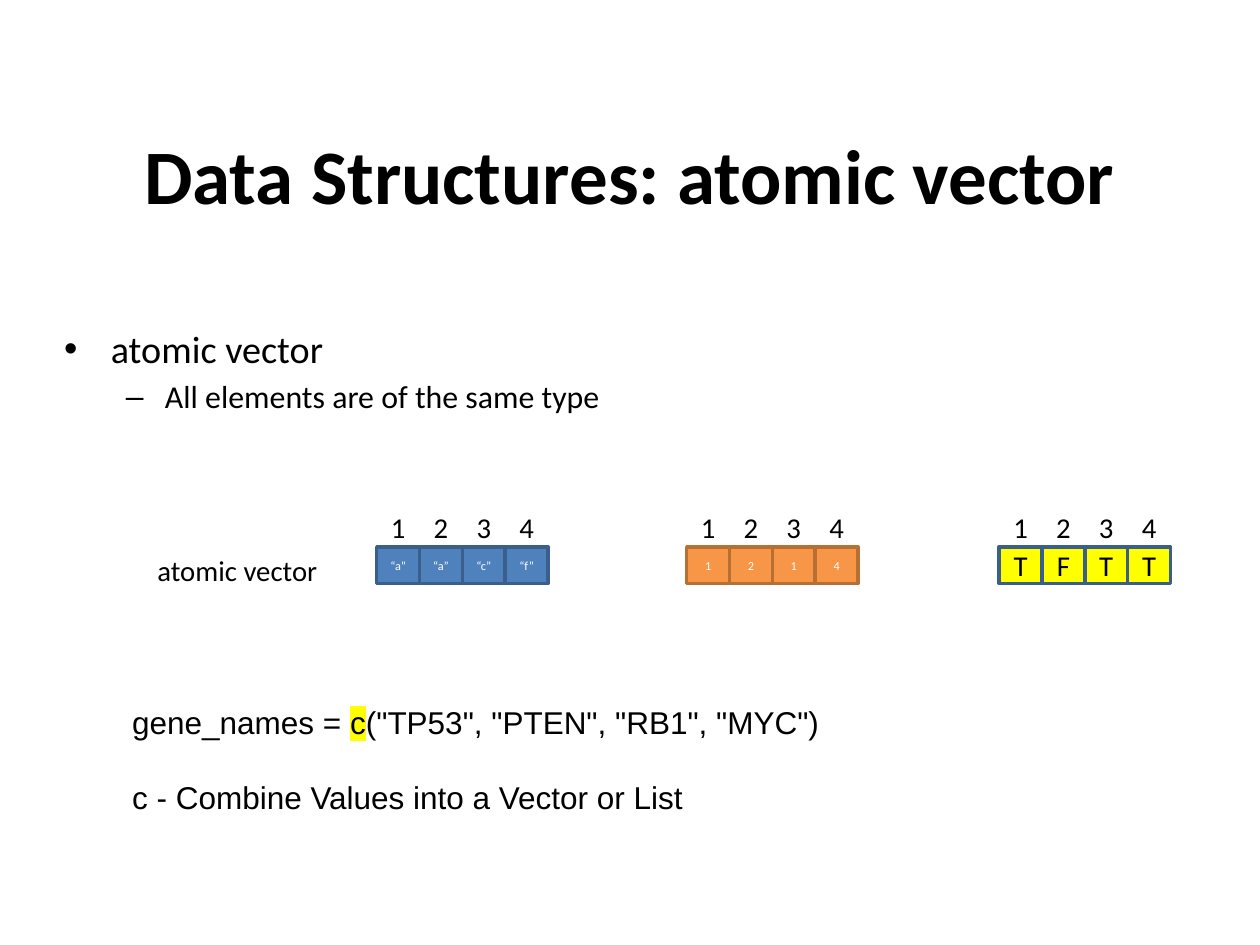
from dataclasses import dataclass

from lxml import etree
from pptx import Presentation
from pptx import util as u
from pptx.dml.color import RGBColor
from pptx.enum import shapes, text
from pptx.oxml import ns

FONT, BLACK, WHITE, YELLOW, NAVY = "Calibri", "000000", "FFFFFF", "FFFF00", "3A5F8C"
SIZE = 16.4
CELL_W, CELL_H, CELL_TOP = 0.34, 0.29, 4.34
LABEL_TOP, LABEL_H = 4, 0.37


@dataclass
class Vector:
    left: float
    values: tuple
    fill: str
    line: str
    size: float = 7
    ink: str = WHITE


@dataclass
class Bullet:
    words: str
    mark: str
    size: float
    left: float
    hang: float
    gap: float


VECTORS = (
    Vector(2.99, ("“a”", "“a”", "“c”", "“f”"), "4F81BD", NAVY),
    Vector(5.45, ("1", "2", "1", "4"), "F79646", "B76F34"),
    Vector(7.93, ("T", "F", "T", "T"), YELLOW, NAVY, SIZE, BLACK),
)
BULLETS = (
    Bullet("atomic vector", "•", 21.8, 0.38, -0.37, 4.3),
    Bullet("All elements are of the same type", "–", 18.2, 0.81, -0.31, 3.6),
)
CODE = ("gene_names = ", "c", '("TP53", "PTEN", "RB1", "MYC")')
NOTE = "c - Combine Values into a Vector or List"


def color(hue: str) -> RGBColor:
    return RGBColor.from_string(hue)


def box(x: float, y: float, w: float, h: float) -> tuple:
    return tuple(u.Inches(n) for n in (x, y, w, h))


def style(run, size: float, hue: str = BLACK, face: str = FONT) -> None:
    run.font.size = u.Pt(size)
    run.font.name = face
    run.font.color.rgb = color(hue)


def flush(frame) -> None:
    frame.margin_left = frame.margin_right = 0
    frame.margin_top = frame.margin_bottom = 0


def center(frame, words: str, size: float, hue: str) -> None:
    frame.text = words
    frame.word_wrap = False
    frame.paragraphs[0].alignment = text.PP_ALIGN.CENTER
    style(frame.paragraphs[0].runs[0], size, hue)


def add_text(slide, place: tuple):
    frame = slide.shapes.add_textbox(*box(*place)).text_frame
    frame.word_wrap = True
    return frame


def add_bullet(para, item: Bullet, level: int) -> None:
    para.text = item.words
    para.level = level
    para.space_before = u.Pt(item.gap)
    style(para.runs[0], item.size)
    props = para._p.get_or_add_pPr()
    props.set("marL", str(u.Inches(item.left)))
    props.set("indent", str(u.Inches(item.hang)))
    etree.SubElement(props, ns.qn("a:buFont")).set("typeface", "Arial")
    etree.SubElement(props, ns.qn("a:buChar")).set("char", item.mark)


def mark(run, hue: str) -> None:
    """Highlight a run that already has a colour."""
    light = etree.Element(ns.qn("a:highlight"))
    etree.SubElement(light, ns.qn("a:srgbClr")).set("val", hue)
    run._r.get_or_add_rPr().find(ns.qn("a:solidFill")).addnext(light)


def add_vector(slide, vec: Vector) -> None:
    lefts = [vec.left + i * CELL_W for i in range(len(vec.values))]
    for left, value in zip(lefts, vec.values):
        cell = slide.shapes.add_shape(
            shapes.MSO_SHAPE.RECTANGLE, *box(left, CELL_TOP, CELL_W, CELL_H))
        cell.shadow.inherit = False
        cell.fill.solid()
        cell.fill.fore_color.rgb = color(vec.fill)
        cell.line.color.rgb = color(vec.line)
        cell.line.width = u.Pt(2)
        cell.text_frame.vertical_anchor = text.MSO_ANCHOR.MIDDLE
        center(cell.text_frame, value, vec.size, vec.ink)
    for num, left in enumerate(lefts, 1):
        frame = add_text(slide, (left, LABEL_TOP, CELL_W, LABEL_H))
        center(frame, str(num), SIZE, BLACK)


def main() -> None:
    deck = Presentation()
    deck.slide_width, deck.slide_height = u.Inches(10), u.Inches(7.5)
    slide = deck.slides.add_slide(deck.slide_layouts[5])

    # Title
    title = slide.shapes.title
    title.left, title.top, title.width, title.height = box(0.5, 0.75, 9, 1.25)
    frame = title.text_frame
    center(frame, "Data Structures: atomic vector", 44, BLACK)
    frame.paragraphs[0].runs[0].font.bold = True
    frame.word_wrap = True
    frame.auto_size = text.MSO_AUTO_SIZE.NONE
    frame.vertical_anchor = text.MSO_ANCHOR.MIDDLE
    flush(frame)

    # Bullets
    frame = add_text(slide, (0.5, 2.58, 9, 1.1))
    flush(frame)
    for level, item in enumerate(BULLETS):
        para = frame.add_paragraph() if level else frame.paragraphs[0]
        add_bullet(para, item, level)

    # Row label and the three vectors
    frame = add_text(slide, (1.15, CELL_TOP, 1.49, LABEL_H))
    frame.text = "atomic vector"
    style(frame.paragraphs[0].runs[0], SIZE)
    for vec in VECTORS:
        add_vector(slide, vec)

    # Code line and its meaning
    frame = add_text(slide, (0.95, 5.53, 5.69, 1.01))
    code, note = frame.paragraphs[0], frame.add_paragraph()
    for part in CODE:
        code.add_run().text = part
    note.text = NOTE
    note.space_before = u.Pt(21)
    for run in code.runs + note.runs:
        style(run, 18, face="Arial")
    mark(code.runs[1], YELLOW)

    deck.save("out.pptx")


if __name__ == "__main__":
    main()
